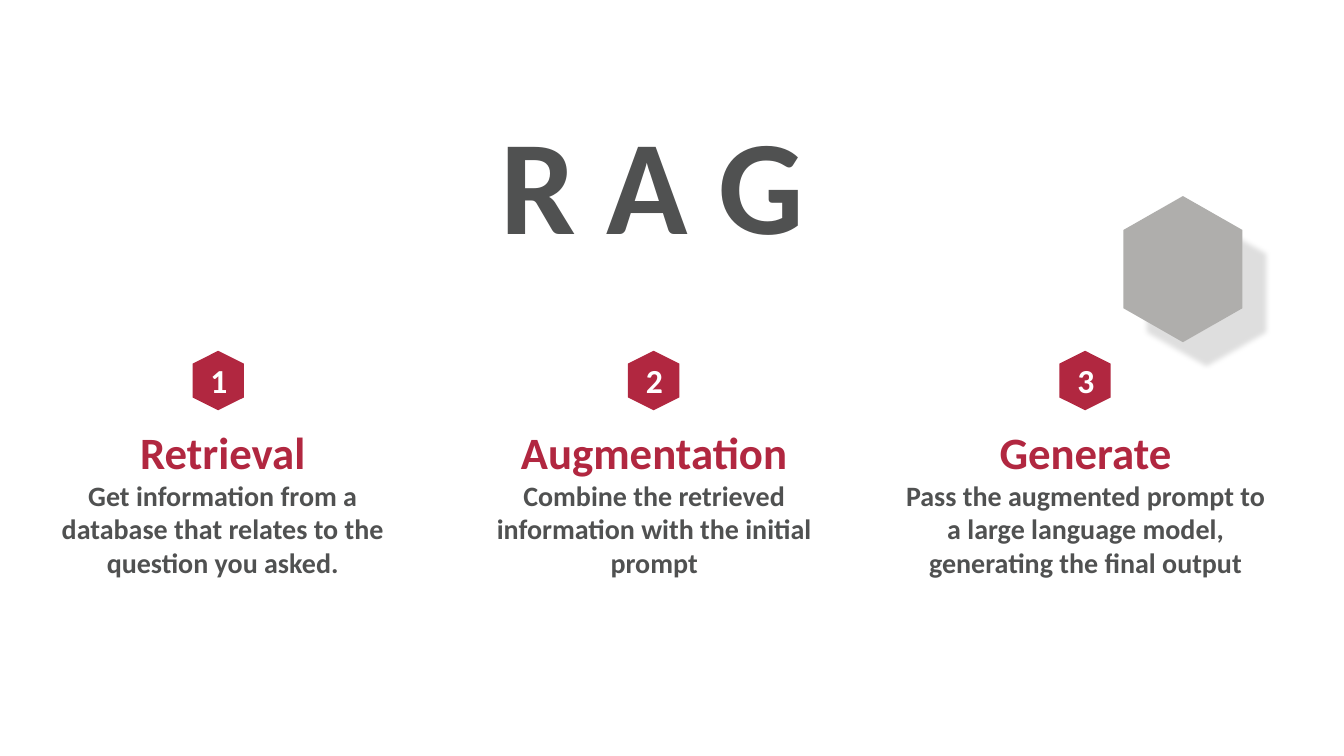
from lxml import etree
from pptx import Presentation
from pptx.dml.color import RGBColor
from pptx.enum.shapes import MSO_SHAPE
from pptx.enum.text import MSO_ANCHOR as Anchor, MSO_AUTO_SIZE as AutoSize, PP_ALIGN as Align
from pptx.oxml import parse_xml
from pptx.oxml.ns import nsdecls, qn
from pptx.util import Pt

RED, DARK, GREY, WHITE = "B12740", "505151", "AFAEAC", "FFFFFF"
TITLE_FORMAT = {"size": Pt(96), "color": DARK}
HEADING_FORMAT = {"size": Pt(32), "color": RED}
BODY_FORMAT = {"size": Pt(20), "color": DARK}
NUMBER_FORMAT = {"size": Pt(24), "color": WHITE}

COLUMN_LEFT, COLUMN_STEP = 17.28, 308.16
COLUMN_TOP, COLUMN_WIDTH, COLUMN_HEIGHT = 299.52, 283.68, 118.8
# Heading, description, horizontal centre of the number badge
STEPS = [
    ("Retrieval", "Get information from a database that relates to the question you asked.", 155.88),
    ("Augmentation", "Combine the retrieved information with the initial prompt", 466.92),
    ("Generate", "Pass the augmented prompt to a large language model, generating the final output", 775.08),
]


def color(hex_string):
    return RGBColor.from_string(hex_string)


def write(paragraph, text, format_values, align):
    paragraph.text = text
    paragraph.alignment = align
    font = paragraph.runs[0].font
    for name, value in {"name": "Calibri", "bold": True, **format_values}.items():
        if name == "color":
            font.color.rgb = color(value)
        else:
            setattr(font, name, value)


def add_hexagon(slide, left, top, width, height, rotation, fill):
    shape = slide.shapes.add_shape(
        MSO_SHAPE.HEXAGON, Pt(left), Pt(top), Pt(width), Pt(height))
    shape.rotation = rotation
    shape.shadow.inherit = False
    shape.fill.solid()
    shape.fill.fore_color.rgb = color(fill)
    shape.line.fill.background()
    return shape


def add_decoration(slide, left, top, width, height):
    shape = add_hexagon(slide, left, top, width, height, 90, GREY)
    shape.adjustments[0] = 0.285
    # Soft shadow towards the lower right
    effects = shape._element.spPr.find(qn("a:effectLst"))
    effects.append(parse_xml(
        f'<a:outerShdw {nsdecls("a")} blurRad="{Pt(4)}" dist="{Pt(24)}" dir="2700000" '
        'algn="ctr" rotWithShape="0"><a:srgbClr val="000000"><a:alpha val="12000"/>'
        '</a:srgbClr></a:outerShdw>'))


def add_title(slide, left, top, width, height):
    title = slide.shapes.title
    title.left, title.top, title.width, title.height = map(Pt, (left, top, width, height))
    frame = title.text_frame
    frame.word_wrap = False
    frame.auto_size = AutoSize.NONE
    frame.vertical_anchor = Anchor.TOP
    write(frame.paragraphs[0], "R A G", TITLE_FORMAT, Align.LEFT)


def add_badge(slide, number, center, top, width=42.48, height=36.72):
    shape = add_hexagon(slide, center - width / 2, top, width, height, 270, RED)
    frame = shape.text_frame
    frame.vertical_anchor = Anchor.MIDDLE
    # Vertical text cancels the rotation of the hexagon
    frame._txBody.bodyPr.set("vert", "vert")
    write(frame.paragraphs[0], str(number), NUMBER_FORMAT, Align.CENTER)


def add_step(slide, number, step, left, top, width, height):
    heading, description, badge_center = step
    box = slide.shapes.add_textbox(Pt(left), Pt(top), Pt(width), Pt(height))
    frame = box.text_frame
    frame.word_wrap = True
    write(frame.paragraphs[0], heading, HEADING_FORMAT, Align.CENTER)
    write(frame.add_paragraph(), description, BODY_FORMAT, Align.CENTER)
    add_badge(slide, number, badge_center, top - 46.08)


def main():
    presentation = Presentation()
    presentation.slide_width, presentation.slide_height = Pt(960), Pt(540)
    slide = presentation.slides.add_slide(presentation.slide_layouts[5])
    add_decoration(slide, 792.72, 149.76, 104.4, 84.96)
    add_title(slide, 350.64, 67.68, 233.28, 123.84)
    for index, step in enumerate(STEPS):
        add_step(slide, index + 1, step, COLUMN_LEFT + index * COLUMN_STEP,
                 COLUMN_TOP, COLUMN_WIDTH, COLUMN_HEIGHT)
    presentation.save("out.pptx")


if __name__ == "__main__":
    main()
